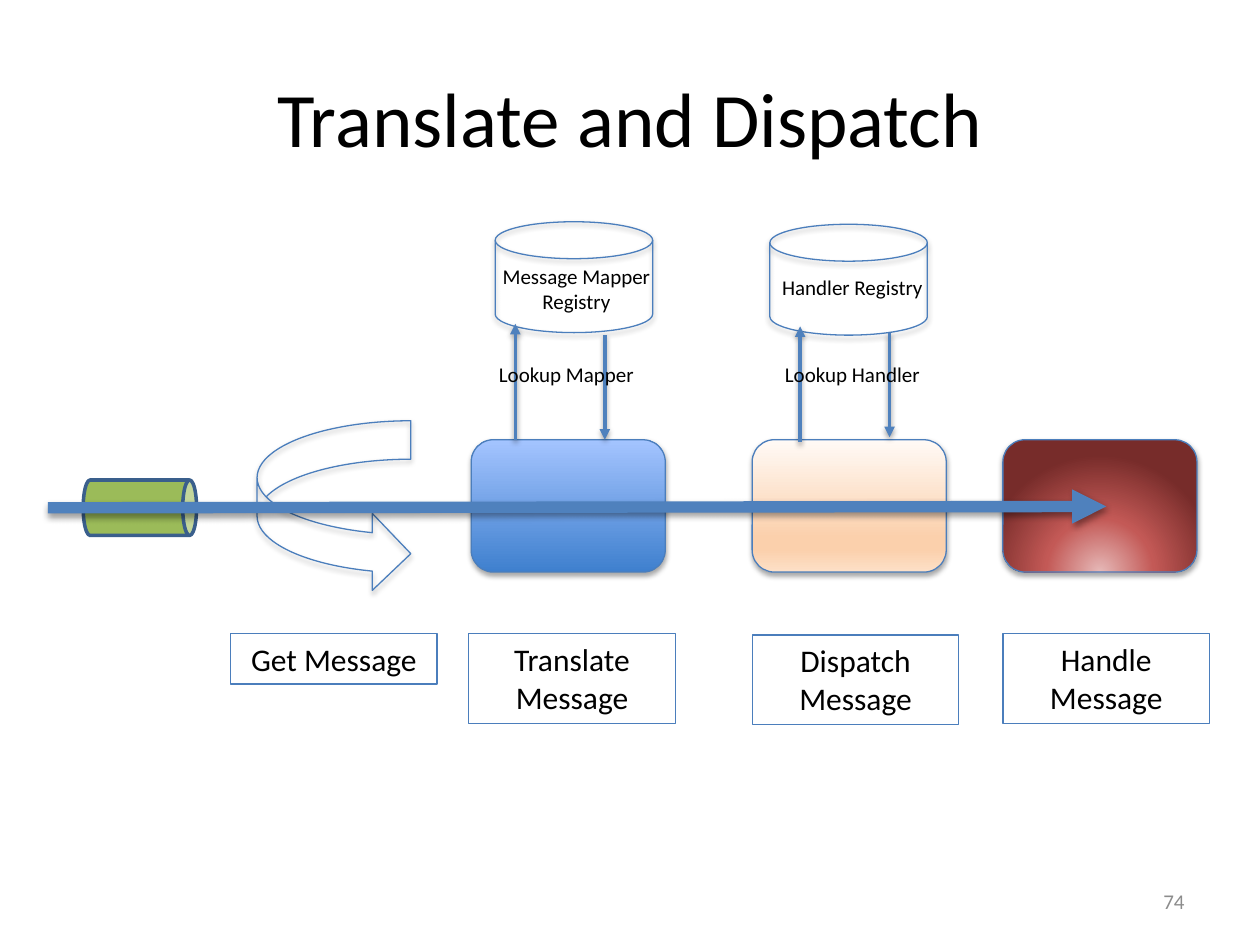
from dataclasses import dataclass

from lxml import etree
from pptx import Presentation
from pptx import util as u
from pptx.dml.color import RGBColor
from pptx.enum import shapes, text
from pptx.oxml.ns import nsdecls, qn

KIND = shapes.MSO_SHAPE
ALIGN = text.PP_ALIGN
MIDDLE, TOP = text.MSO_ANCHOR.MIDDLE, text.MSO_ANCHOR.TOP


@dataclass(frozen=True)
class Theme:
    font: str = "Calibri"
    ink: str = "000000"
    muted: str = "8C8C8C"
    outline: str = "4B7EBC"
    flow: str = "4F81BD"
    queue: str = "9BBB59"
    queue_edge: str = "3A5F8C"
    title: int = 44
    label: int = 18
    small: int = 12
    thin: float = 0.75
    medium: float = 2
    thick: float = 6.5
    shape_shadow: tuple = (35, 1.8)
    line_shadow: tuple = (38, 1.6)
    translate: tuple = ((0, "3F80CE"), (100, "A4C4FF"))
    dispatch: tuple = ((0, "FFFAF6"), (74, "FBD0AC"), (83, "FBD0AC"), (100, "FDE0C7"))
    handle: tuple = ((0, "E6B9B8"), (46, "C35956"), (100, "772C2A"))


THEME = Theme()


def linear(angle):
    return f'<a:lin ang="{angle * 60000}" scaled="0"/>'


GLOW = ('<a:path path="circle"><a:fillToRect l="50000" t="130000" '
        'r="50000" b="-30000"/></a:path>')


class Board:
    """Draws on one slide with a grid of 100 columns by 75 rows."""
    COLUMNS, ROWS = 100, 75

    def __init__(self, deck, theme):
        self.theme = theme
        self.slide = deck.slides.add_slide(deck.slide_layouts[6])
        self.column = deck.slide_width / self.COLUMNS
        self.row = deck.slide_height / self.ROWS

    def place(self, x, y, *size):
        cells = (self.column, self.row) * 2
        return [round(n * cell) for n, cell in zip((x, y, *size), cells)]

    def shadow(self, item, strength):
        alpha, distance = strength
        props = item.element.spPr
        effects = props.find(qn("a:effectLst"))
        if effects is None:
            effects = etree.SubElement(props, qn("a:effectLst"))
        effects.append(etree.fromstring(
            f'<a:outerShdw {nsdecls("a")} blurRad="{u.Pt(3.1)}" dist="{u.Pt(distance)}" '
            f'dir="5400000" rotWithShape="0"><a:srgbClr val="000000">'
            f'<a:alpha val="{alpha * 1000}"/></a:srgbClr></a:outerShdw>'))

    def stroke(self, item, color, width):
        item.line.color.rgb = RGBColor.from_string(color)
        item.line.width = u.Pt(width)

    def add_words(self, item, words, size, color=None, align=ALIGN.CENTER, anchor=TOP):
        frame = item.text_frame
        paragraph = frame.paragraphs[0]
        paragraph.alignment = align
        run = paragraph.add_run()
        run.text = words
        frame.word_wrap = True
        frame.vertical_anchor = anchor
        formats = {
            "name": self.theme.font,
            "size": u.Pt(size),
        }
        for name, value in formats.items():
            setattr(run.font, name, value)
        run.font.color.rgb = RGBColor.from_string(color or self.theme.ink)

    def text(self, cells, words, size, **formats):
        box = self.slide.shapes.add_textbox(*self.place(*cells))
        self.add_words(box, words, size, **formats)

    def shape(self, kind, cells, fill=None, edge=None, width=None, shaded=True):
        item = self.slide.shapes.add_shape(kind, *self.place(*cells))
        item.shadow.inherit = False
        if fill:
            item.fill.solid()
            item.fill.fore_color.rgb = RGBColor.from_string(fill)
        else:
            item.fill.background()
        self.stroke(item, edge or self.theme.outline, width or self.theme.thin)
        if shaded:
            self.shadow(item, self.theme.shape_shadow)
        return item

    def stage(self, cells, stops, direction):
        props = self.shape(KIND.ROUNDED_RECTANGLE, cells).element.spPr
        colors = "".join(f'<a:gs pos="{at * 1000}"><a:srgbClr val="{color}"/></a:gs>'
                         for at, color in stops)
        props.replace(props.find(qn("a:noFill")), etree.fromstring(
            f'<a:gradFill {nsdecls("a")} rotWithShape="1"><a:gsLst>{colors}</a:gsLst>'
            f'{direction}</a:gradFill>'))

    def caption(self, cells, words):
        box = self.shape(KIND.RECTANGLE, cells, shaded=False)
        self.add_words(box, words, self.theme.label)

    def arrow(self, start, end, width):
        line = self.slide.shapes.add_connector(
            shapes.MSO_CONNECTOR.STRAIGHT, *self.place(*start), *self.place(*end))
        self.stroke(line, self.theme.flow, width)
        etree.SubElement(line.element.spPr.find(qn("a:ln")), qn("a:tailEnd"), type="triangle")
        self.shadow(line, self.theme.line_shadow)


def main():
    deck = Presentation()
    deck.slide_width, deck.slide_height = u.Inches(10), u.Inches(7.5)
    board = Board(deck, THEME)

    # Title and page number
    board.text((5, 3, 90, 12.5), "Translate and Dispatch", THEME.title, anchor=MIDDLE)
    board.text((71.7, 69.5, 23.3, 4), "74", THEME.small, color=THEME.muted,
               align=ALIGN.RIGHT, anchor=MIDDLE)

    # Message pickup and queue
    board.shape(KIND.CURVED_RIGHT_ARROW, (20.4, 33.4, 12.2, 13.6))
    queue = board.shape(KIND.CAN, (8.9, 35.8, 4.4, 9), THEME.queue, THEME.queue_edge,
                        THEME.medium, shaded=False)
    queue.rotation = 90

    # Processing stages
    for left, stops, direction in ((37.4, THEME.translate, linear(270)),
                                   (59.7, THEME.dispatch, linear(90)),
                                   (79.6, THEME.handle, GLOW)):
        board.stage((left, 34.9, 15.4, 10.5), stops, direction)

    # Registries
    for left, top in ((39.3, 17.6), (61.1, 17.8)):
        board.shape(KIND.FLOWCHART_MAGNETIC_DISK, (left, top, 12.5, 8.8))

    # Stage captions
    for left, top, height, words in ((18.3, 50.3, 4, "Get Message"),
                                     (37.2, 50.3, 7.1, "Translate Message"),
                                     (59.7, 50.4, 7.1, "Dispatch Message"),
                                     (79.6, 50.3, 7.1, "Handle Message")):
        board.caption((left, top, 16.4, height), words)

    # Registry names
    board.text((37.8, 20.4, 15.9, 5), "Message Mapper Registry", THEME.small)
    board.text((59.7, 21.3, 15.9, 3), "Handler Registry", THEME.small)

    # Lookup requests and replies
    for x, start, end in ((40.9, 34.9, 25.7), (63.5, 35.1, 25.9),
                          (48, 26.6, 34.9), (70.6, 26.4, 34.7)):
        board.arrow((x, start), (x, end), THEME.medium)
    for left, words in ((37, "Lookup Mapper"), (59.7, "Lookup Handler")):
        board.text((left, 28.2, 15.9, 3), words, THEME.small)

    # Main message flow
    board.arrow((3.8, 40.3), (87.8, 40.2), THEME.thick)

    deck.save("out.pptx")


if __name__ == "__main__":
    main()
